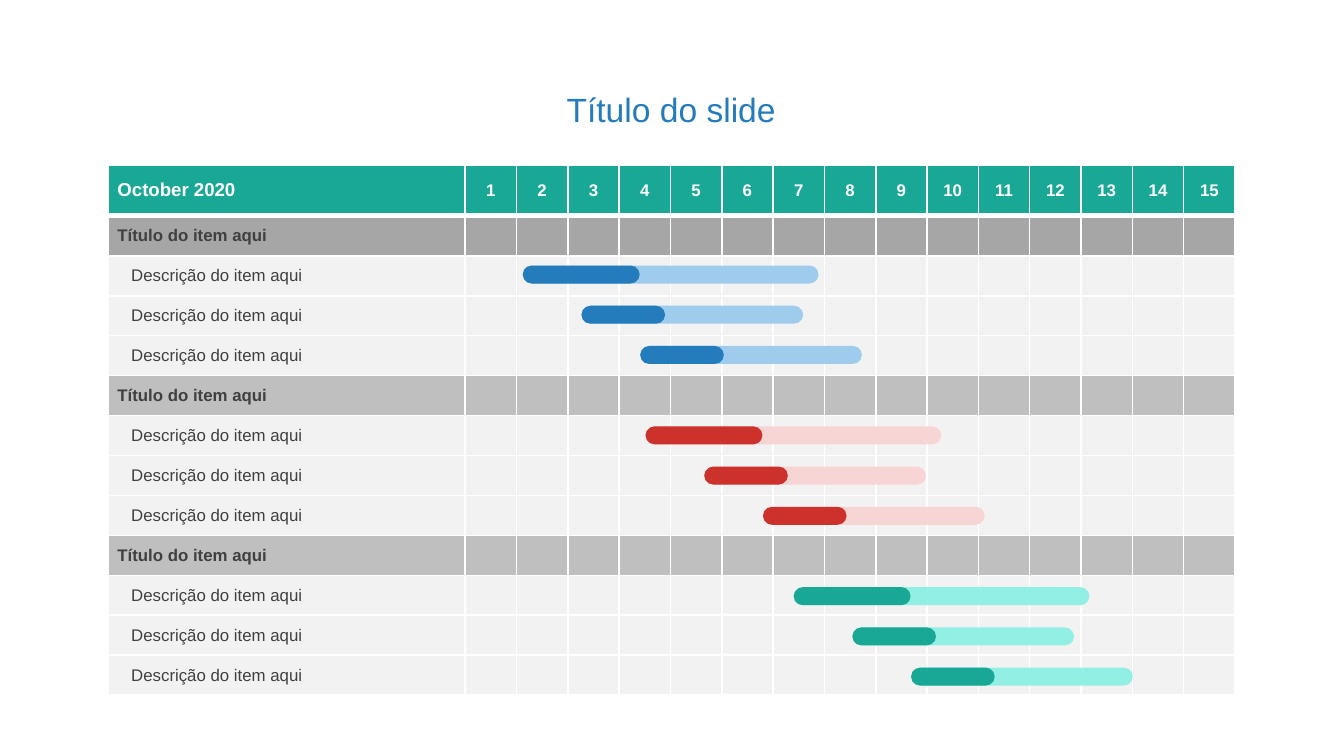
from dataclasses import dataclass

from lxml import etree
from pptx import Presentation
from pptx import util as u
from pptx.dml.color import RGBColor
from pptx.enum import shapes, text
from pptx.oxml.ns import qn

COLORS = {
    "white": "FFFFFF", "text": "404040",
    "section_dark": "A6A6A6", "section": "BFBFBF", "item": "F2F2F2",
    "blue": "247CBC", "blue_light": "9FCCED",
    "red": "CC312C", "red_light": "F6D5D4",
    "teal": "19A896", "teal_light": "91EFE3",
}

# Measures in centimetres
TABLE_LEFT, TABLE_TOP, TABLE_HEIGHT = 2.04, 3.12, 10.03
LABEL_WIDTH, DAY_WIDTH, DAYS = 6.75, 0.97, 15
HEADER_HEIGHT = 0.96
BAR_TOP, BAR_PITCH, BAR_HEIGHT, BAR_STEP = 5.02, 0.76, 0.34, 1.11
BAR_LENGTHS = [(5.59, 2.21), (4.19, 1.58), (4.19, 1.58)]  # planned, done
INDENT = 0.26


@dataclass
class Section:
    fill: str
    color: str
    start: float


@dataclass
class Row:
    label: str
    fill: str
    color: str = "text"
    size: float = 9
    bold: bool = False
    indent: float = 0


SECTIONS = [
    Section("section_dark", "blue", 9.88),
    Section("section", "red", 12.2),
    Section("section", "teal", 15),
]


def rgb(name: str) -> RGBColor:
    return RGBColor.from_string(COLORS[name])


def write(frame, content: str, color: str, size: float, bold: bool, centred: bool) -> None:
    paragraph = frame.paragraphs[0]
    if centred:
        paragraph.alignment = text.PP_ALIGN.CENTER
    run = paragraph.add_run()
    run.text = content
    formats = {"name": "Arial", "size": u.Pt(size), "bold": bold}
    for attribute, value in formats.items():
        setattr(run.font, attribute, value)
    run.font.color.rgb = rgb(color)


def add_borders(cell, widths: dict[str, float]) -> None:
    properties = cell._tc.get_or_add_tcPr()
    for index, (side, width) in enumerate(widths.items()):
        line = etree.Element(qn(f"a:ln{side}"), w=str(u.Pt(width)))
        solid = etree.SubElement(line, qn("a:solidFill"))
        etree.SubElement(solid, qn("a:srgbClr"), val=COLORS["white"])
        properties.insert(index, line)


def fill_cell(cell, row: Row, content: str, size: float, centred: bool) -> None:
    formats = {
        "vertical_anchor": text.MSO_ANCHOR.MIDDLE,
        "margin_left": u.Cm(0.18 + (0 if centred else row.indent)),
        "margin_right": u.Cm(0.18),
        "margin_top": u.Cm(0.1),
        "margin_bottom": u.Cm(0.1),
    }
    for attribute, value in formats.items():
        setattr(cell, attribute, value)
    cell.fill.solid()
    cell.fill.fore_color.rgb = rgb(row.fill)
    if content:
        write(cell.text_frame, content, row.color, size, row.bold, centred)
    else:
        # Keeps empty cells from stretching the row
        paragraph = cell.text_frame.paragraphs[0]._p
        etree.SubElement(paragraph, qn("a:endParaRPr"), sz="900")


def add_schedule(slide, rows: list[Row]) -> None:
    frame = slide.shapes.add_table(
        len(rows), DAYS + 1, u.Cm(TABLE_LEFT), u.Cm(TABLE_TOP),
        u.Cm(LABEL_WIDTH + DAYS * DAY_WIDTH), u.Cm(TABLE_HEIGHT))
    table = frame.table
    table.horz_banding = False
    for index, column in enumerate(table.columns):
        column.width = u.Cm(DAY_WIDTH if index else LABEL_WIDTH)
    row_height = (TABLE_HEIGHT - HEADER_HEIGHT) / (len(rows) - 1)
    for index, row in enumerate(rows):
        table.rows[index].height = u.Cm(row_height if index else HEADER_HEIGHT)
        borders = {"L": 1, "R": 1, "T": 3 if index == 1 else 1, "B": 1 if index else 3}
        for day in range(DAYS + 1):
            cell = table.cell(index, day)
            day_label = "" if index else str(day)
            fill_cell(cell, row, day_label if day else row.label,
                      9 if day else row.size, day > 0)
            add_borders(cell, borders)


def add_bar(slide, left: float, top: float, length: float, color: str) -> None:
    shape = slide.shapes.add_shape(
        shapes.MSO_SHAPE.ROUNDED_RECTANGLE,
        u.Cm(left), u.Cm(top), u.Cm(length), u.Cm(BAR_HEIGHT))
    shape.adjustments[0] = 0.5
    shape.shadow.inherit = False
    shape.fill.solid()
    shape.fill.fore_color.rgb = rgb(color)
    shape.line.fill.background()


def add_title(slide, content: str) -> None:
    box = slide.shapes.add_textbox(u.Cm(9.42), u.Cm(1.57), u.Cm(6.53), u.Cm(0.97))
    formats = {
        "word_wrap": False,
        "auto_size": text.MSO_AUTO_SIZE.SHAPE_TO_FIT_TEXT,
        "vertical_anchor": text.MSO_ANCHOR.MIDDLE,
    }
    for attribute, value in formats.items():
        setattr(box.text_frame, attribute, value)
    write(box.text_frame, content, "blue", 18, False, True)


def main() -> None:
    presentation = Presentation()
    presentation.slide_width = u.Cm(25.4)
    presentation.slide_height = u.Cm(14.29)
    slide = presentation.slides.add_slide(presentation.slide_layouts[6])

    # Schedule grid
    rows = [Row("October 2020", "teal", "white", 10, True)]
    for section in SECTIONS:
        rows.append(Row("Título do item aqui", section.fill, bold=True))
        rows += [Row("Descrição do item aqui", "item", indent=INDENT)
                 for _ in BAR_LENGTHS]
    add_schedule(slide, rows)

    # Planned bars with the finished part on top
    for group, section in enumerate(SECTIONS):
        for index, (planned, done) in enumerate(BAR_LENGTHS):
            left = section.start + index * BAR_STEP
            slot = group * (len(BAR_LENGTHS) + 1) + index
            top = BAR_TOP + slot * BAR_PITCH
            add_bar(slide, left, top, planned, f"{section.color}_light")
            add_bar(slide, left, top, done, section.color)

    # Slide title
    add_title(slide, "Título do slide")
    presentation.save("out.pptx")


if __name__ == "__main__":
    main()
